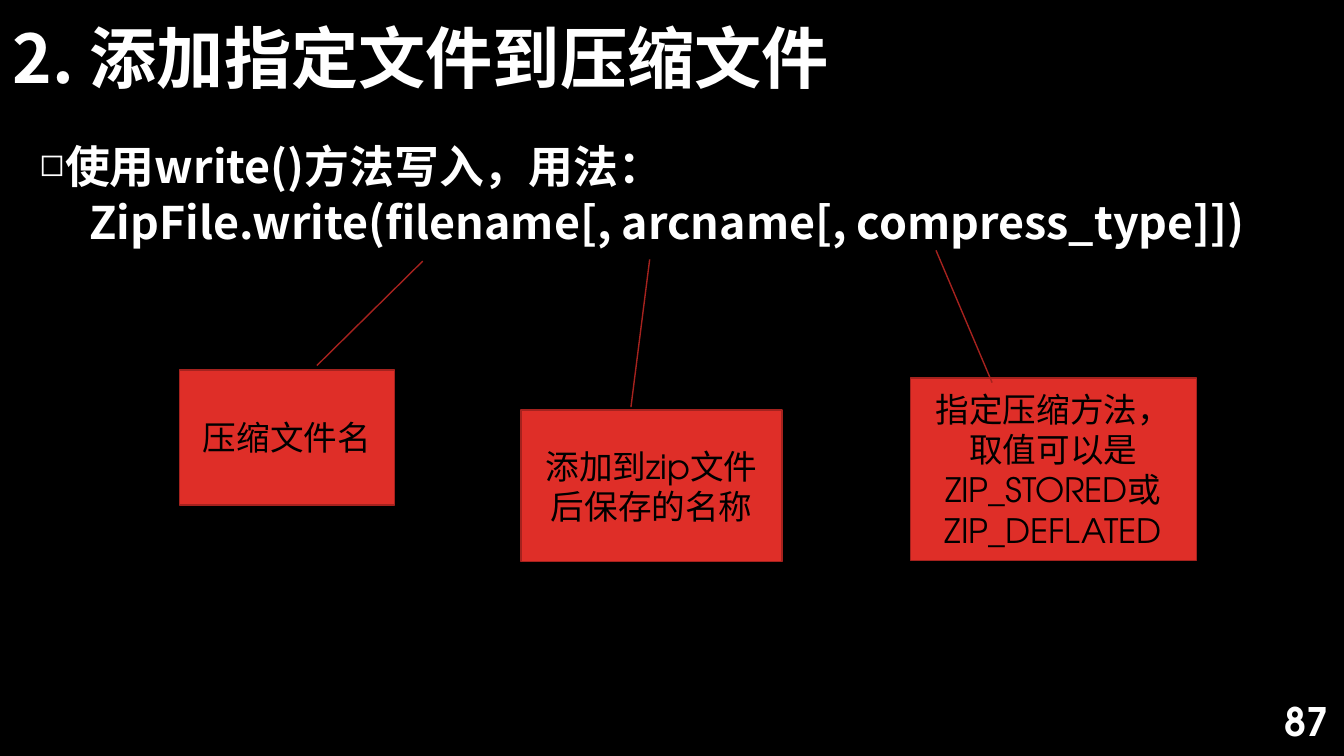
from pptx import Presentation
from pptx.dml.color import RGBColor
from pptx.enum.shapes import MSO_SHAPE
from pptx.enum.text import MSO_ANCHOR, PP_ALIGN
from pptx.oxml.ns import qn
from pptx.util import Pt

CALLOUT = MSO_SHAPE.LINE_CALLOUT_1
TOP, MIDDLE = MSO_ANCHOR.TOP, MSO_ANCHOR.MIDDLE
LEFT, CENTER, RIGHT = PP_ALIGN.LEFT, PP_ALIGN.CENTER, PP_ALIGN.RIGHT

TITLE = "2. 添加指定文件到压缩文件"
USAGE = "使用write()方法写入，用法："
SIGNATURE = "ZipFile.write(filename[, arcname[, compress_type]])"
PAGE_NUMBER = "87"

# text, box (left, top, width, height), pointer start (x, y) and end (x, y)
PARAMETERS = [
    ("压缩文件名", (128.2, 264.2, 153.4, 96.5), (226.4, 261.1), (302, 186.5)),
    ("添加到zip文件后保存的名称", (372.2, 293, 186.5, 108), (450.7, 290.8), (464.1, 185.3)),
    ("指定压缩方法，取值可以是ZIP_STORED或ZIP_DEFLATED", (650.2, 270, 204.5, 130.3),
     (708.7, 273.3), (668.6, 178.8)),
]

THEME = {
    "background": RGBColor(0, 0, 0),
    "text": RGBColor(255, 255, 255),
    "callout_text": RGBColor(0, 0, 0),
    "callout_fill": RGBColor(0xDF, 0x2E, 0x28),
    "callout_line": RGBColor(0xA5, 0x22, 0x1E),
    "cjk_font": "Noto Sans CJK SC",
    "latin_font": "TeX Gyre Adventor",
    "title": 48, "body": 32, "callout": 24, "number": 28,
}


def style(paragraph, size, color, font, bold=False, align=LEFT):
    paragraph.alignment = align
    paragraph.font.size = Pt(THEME[size])
    paragraph.font.color.rgb = THEME[color]
    paragraph.font.bold = bold
    paragraph.font.name = THEME[font]
    for run in paragraph.runs:
        properties = run._r.get_or_add_rPr()
        properties.set("lang", "zh-CN")
        east_asian = properties.makeelement(qn("a:ea"), {"typeface": THEME["cjk_font"]})
        properties.append(east_asian)


def add_text(slide, box, text, anchor):
    frame = slide.shapes.add_textbox(*map(Pt, box)).text_frame
    frame.word_wrap = True
    frame.vertical_anchor = anchor
    frame.paragraphs[0].text = text
    return frame


def indent(paragraph, margin, first_line, bullet=None):
    properties = paragraph._p.get_or_add_pPr()
    properties.set("marL", str(Pt(margin)))
    properties.set("indent", str(Pt(first_line)))
    if bullet:
        for tag, attributes in (("a:buSzPct", {"val": "70000"}), ("a:buChar", {"char": bullet})):
            properties.append(properties.makeelement(qn(tag), attributes))


def add_callout(slide, text, box, start, end):
    left, top, width, height = box
    shape = slide.shapes.add_shape(CALLOUT, *map(Pt, box))
    pointer = [ratio for x, y in (start, end)
               for ratio in ((y - top) / height, (x - left) / width)]
    for index, ratio in enumerate(pointer):
        shape.adjustments[index] = ratio
    shape.shadow.inherit = False
    shape.fill.solid()
    shape.fill.fore_color.rgb = THEME["callout_fill"]
    shape.line.color.rgb = THEME["callout_line"]
    shape.line.width = Pt(1)
    frame = shape.text_frame
    frame.word_wrap = True
    frame.vertical_anchor = MIDDLE
    frame.text = text
    style(frame.paragraphs[0], "callout", "callout_text", "latin_font", align=CENTER)


def main():
    presentation = Presentation()
    presentation.slide_width, presentation.slide_height = Pt(960), Pt(540)
    slide = presentation.slides.add_slide(presentation.slide_layouts[6])
    slide.background.fill.solid()
    slide.background.fill.fore_color.rgb = THEME["background"]

    title = add_text(slide, (2.2, 15.1, 674.6, 58.3), TITLE, MIDDLE).paragraphs[0]
    title.line_spacing = 0.9
    style(title, "title", "text", "cjk_font", bold=True)

    body = add_text(slide, (20.9, 100.1, 918.7, 410.4), USAGE, TOP)
    usage, signature = body.paragraphs[0], body.add_paragraph()
    signature.text = SIGNATURE
    signature.space_before = Pt(5)
    indent(usage, 18, -18, "◻")
    indent(signature, 36, 0)
    for paragraph in (usage, signature):
        paragraph.line_spacing = 0.9
        style(paragraph, "body", "text", "cjk_font", bold=True)

    for parameter in PARAMETERS:
        add_callout(slide, *parameter)

    number = add_text(slide, (740.2, 500.4, 216, 28.8), PAGE_NUMBER, MIDDLE).paragraphs[0]
    style(number, "number", "text", "latin_font", bold=True, align=RIGHT)
    presentation.save("out.pptx")


if __name__ == "__main__":
    main()
